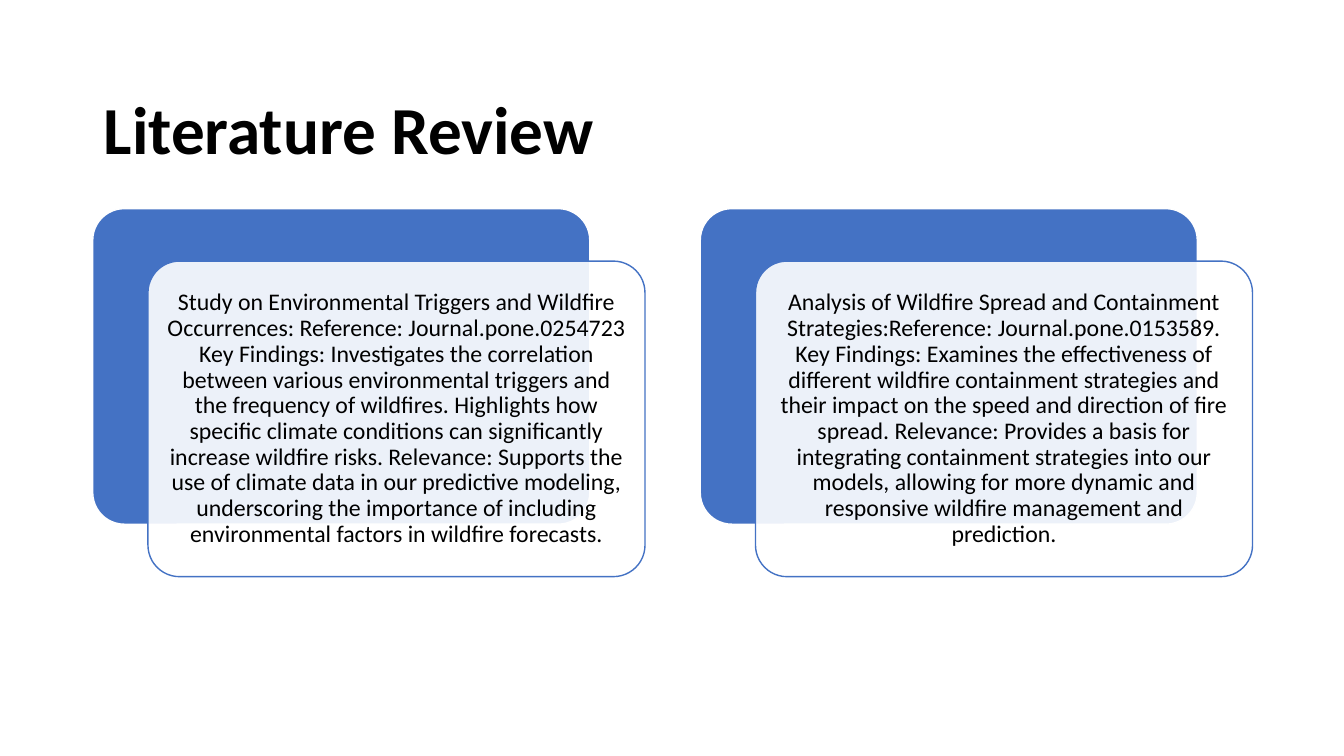
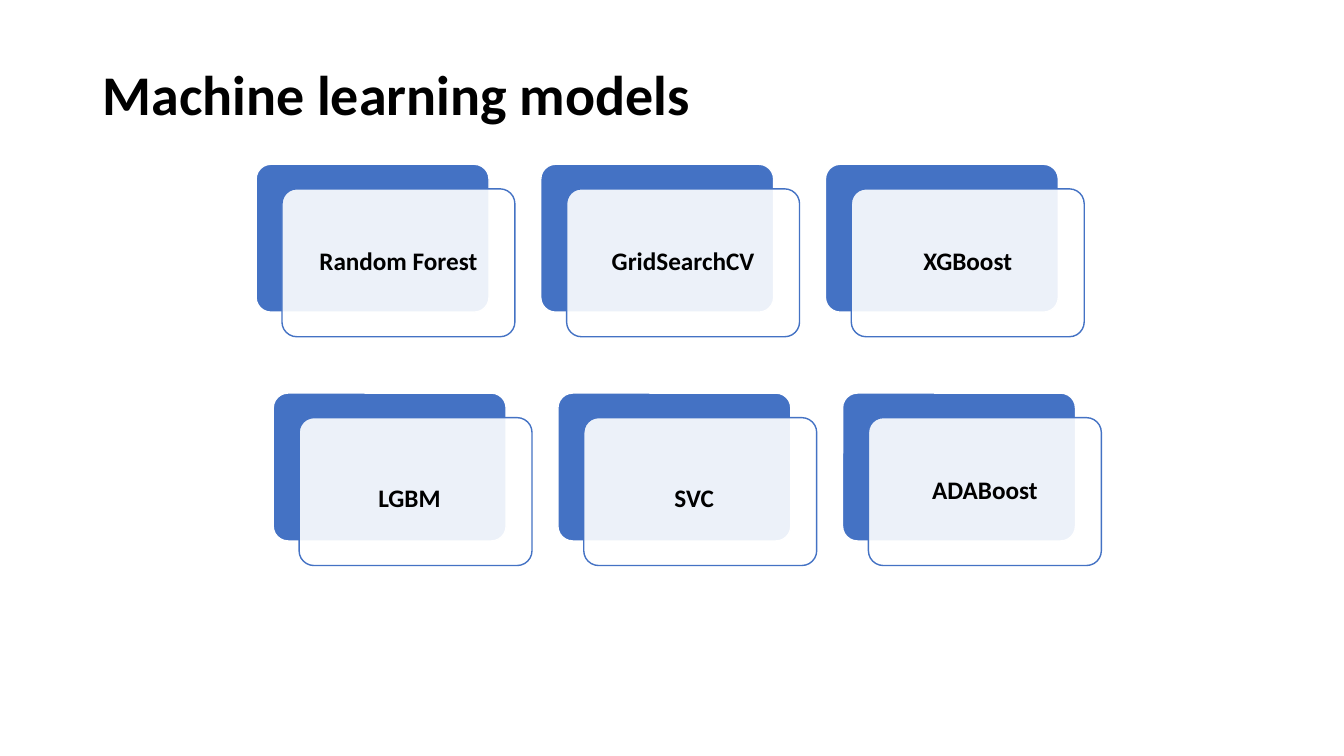
from dataclasses import dataclass

from lxml.etree import SubElement
from pptx import Presentation
from pptx.dml.color import RGBColor
from pptx.enum.shapes import MSO_SHAPE
from pptx.enum.text import MSO_ANCHOR, MSO_AUTO_SIZE, PP_ALIGN
from pptx.oxml.ns import qn
from pptx.shapes.autoshape import Shape
from pptx.slide import Slide
from pptx.text.text import TextFrame
from pptx.util import Inches, Pt

BLUE = RGBColor(0x44, 0x72, 0xC4)
WHITE = RGBColor(0xFF, 0xFF, 0xFF)
BLACK = RGBColor(0x00, 0x00, 0x00)
FONT = "Calibri"
TITLE_ONLY = 5

# Card proportions, as shares of the card width
HEIGHT_RATIO = 0.635
SHIFT_X_RATIO = 1 / 9
SHIFT_Y_RATIO = 0.95 / 9
PITCH_RATIO = 11 / 9

CARD_MARGIN = 0.07


@dataclass(frozen=True)
class Card:
    text: str
    raise_right: float = 0
    raise_top: float = 0


@dataclass(frozen=True)
class CardRow:
    left: float
    top: float
    card_width: float
    size: float
    bold: bool
    cards: tuple[Card, ...]


@dataclass(frozen=True)
class Page:
    title: str
    title_left: float
    title_top: float
    title_size: float
    rows: tuple[CardRow, ...]


PAGES = (
    Page("Literature Review", 0.93, 0.78, 48, (
        CardRow(0.92, 2.07, 4.93, 17, False, (
            Card(
                "Study on Environmental Triggers and Wildfire Occurrences: "
                "Reference: Journal.pone.0254723 Key Findings: Investigates the "
                "correlation between various environmental triggers and the "
                "frequency of wildfires. Highlights how specific climate "
                "conditions can significantly increase wildfire risks. "
                "Relevance: Supports the use of climate data in our predictive "
                "modeling, underscoring the importance of including "
                "environmental factors in wildfire forecasts."
            ),
            Card(
                "Analysis of Wildfire Spread and Containment "
                "Strategies:Reference: Journal.pone.0153589. Key Findings: "
                "Examines the effectiveness of different wildfire containment "
                "strategies and their impact on the speed and direction of fire "
                "spread. Relevance: Provides a basis for integrating containment "
                "strategies into our models, allowing for more dynamic and "
                "responsive wildfire management and prediction."
            ),
        )),
    )),
    Page("Machine learning models", 0.92, 0.43, 40, (
        CardRow(2.54, 1.63, 2.31, 18, True, (
            Card("Random Forest"), Card("GridSearchCV"), Card("XGBoost"),
        )),
        CardRow(2.71, 3.9, 2.31, 18, True, (
            Card("LGBM", raise_right=0.12, raise_top=0.16),
            Card("SVC", raise_right=0.12, raise_top=0.16),
            Card("ADABoost"),
        )),
    )),
)


def write_text(frame: TextFrame, text: str, *, size: float, bold: bool,
               align: PP_ALIGN) -> None:
    frame.word_wrap = True
    frame.auto_size = MSO_AUTO_SIZE.NONE
    frame.vertical_anchor = MSO_ANCHOR.MIDDLE
    para = frame.paragraphs[0]
    para.alignment = align
    para.line_spacing = 0.9
    span = para.add_run()
    span.text = text
    span.font.name = FONT
    span.font.size = Pt(size)
    span.font.bold = bold
    span.font.color.rgb = BLACK


def add_panel(page: Slide, left: float, top: float, width: float, *,
              fill: RGBColor, line: RGBColor, opacity: int = 100) -> Shape:
    panel = page.shapes.add_shape(
        MSO_SHAPE.ROUNDED_RECTANGLE, Inches(left), Inches(top),
        Inches(width), Inches(width * HEIGHT_RATIO))
    panel.adjustments[0] = 0.1
    panel.shadow.inherit = False
    panel.fill.solid()
    panel.fill.fore_color.rgb = fill
    panel.line.color.rgb = line
    panel.line.width = Pt(1)
    if opacity < 100:
        color = panel.fill._xPr.find(f"{qn('a:solidFill')}/{qn('a:srgbClr')}")
        SubElement(color, qn("a:alpha"), val=str(opacity * 1000))
    return panel


def add_card_row(page: Slide, row: CardRow) -> None:
    """Draw each card as a blue panel with a translucent text panel before it."""
    width = row.card_width
    for index, card in enumerate(row.cards):
        left = row.left + index * width * PITCH_RATIO
        add_panel(page, left, row.top, width, fill=BLUE, line=WHITE)
        front = add_panel(
            page, left + width * SHIFT_X_RATIO, row.top + width * SHIFT_Y_RATIO,
            width, fill=WHITE, line=BLUE, opacity=90)
        frame = front.text_frame
        frame.margin_left = frame.margin_bottom = Inches(CARD_MARGIN)
        frame.margin_right = Inches(CARD_MARGIN + card.raise_right)
        frame.margin_top = Inches(CARD_MARGIN + card.raise_top)
        write_text(frame, card.text, size=row.size, bold=row.bold,
                   align=PP_ALIGN.CENTER)


def add_title(page: Slide, content: Page) -> None:
    title = page.shapes.title
    title.left, title.top = Inches(content.title_left), Inches(content.title_top)
    title.width, title.height = Inches(11.46), Inches(1.07)
    write_text(title.text_frame, content.title, size=content.title_size,
               bold=True, align=PP_ALIGN.LEFT)


def main() -> None:
    deck = Presentation()
    deck.slide_width, deck.slide_height = Inches(13.33), Inches(7.5)
    for content in PAGES:
        page = deck.slides.add_slide(deck.slide_layouts[TITLE_ONLY])
        add_title(page, content)
        for row in content.rows:
            add_card_row(page, row)
    deck.save("out.pptx")


if __name__ == "__main__":
    main()
